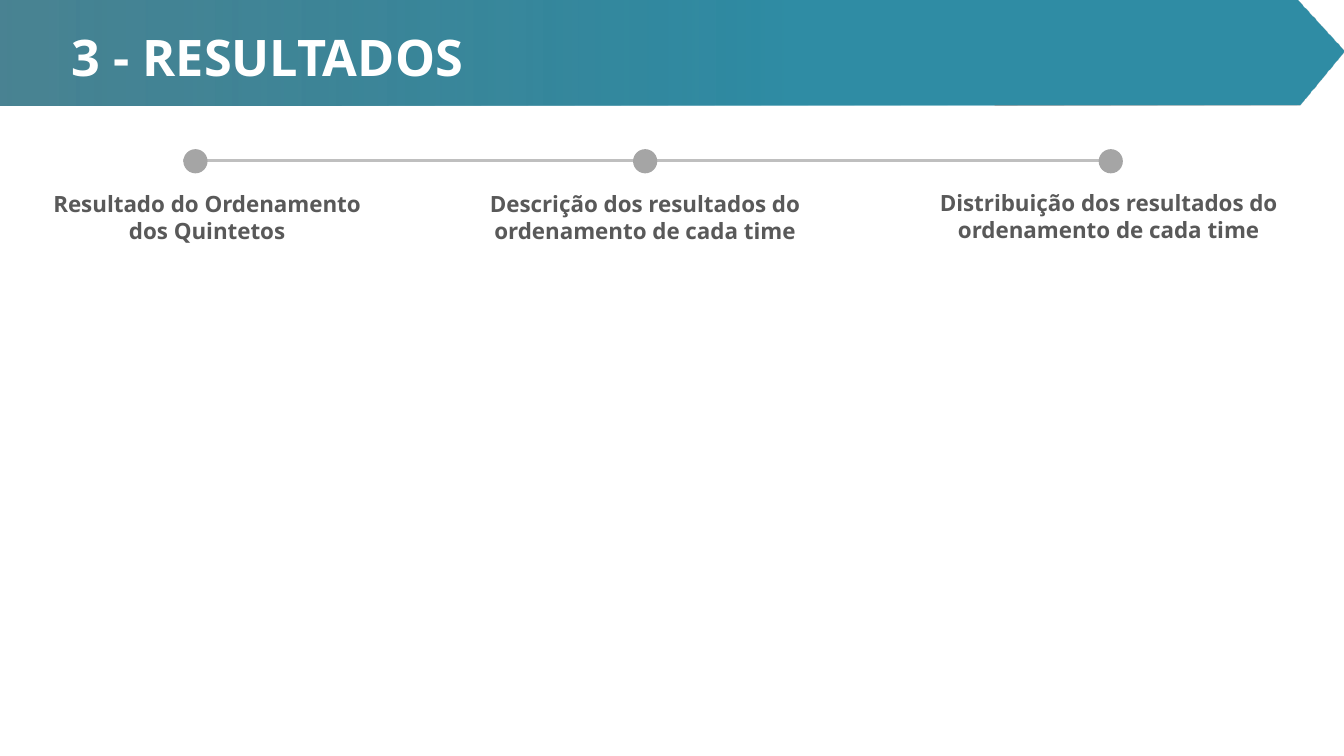
from lxml import etree
from pptx import Presentation
from pptx.dml.color import RGBColor
from pptx.enum.shapes import MSO_CONNECTOR, MSO_SHAPE
from pptx.enum.text import MSO_ANCHOR, MSO_AUTO_SIZE, PP_ALIGN
from pptx.oxml.ns import qn
from pptx.util import Pt

LEFT, CENTER = PP_ALIGN.LEFT, PP_ALIGN.CENTER
TOP = MSO_ANCHOR.TOP
FIXED, GROW = MSO_AUTO_SIZE.NONE, MSO_AUTO_SIZE.SHAPE_TO_FIT_TEXT
OVAL, LINE = MSO_SHAPE.OVAL, MSO_CONNECTOR.STRAIGHT

WHITE = RGBColor(0xFF, 0xFF, 0xFF)
TEAL = RGBColor(0x2F, 0x8C, 0xA4)
DEEP = RGBColor(0x23, 0x69, 0x7B)
RAIL = RGBColor(0xBF, 0xBF, 0xBF)
DOT = RGBColor(0xA5, 0xA5, 0xA5)
INK = RGBColor(0x59, 0x59, 0x59)

BAND = [(0, 0), (926, 0), (960, 36.7), (928, 74.9), (0, 75.6)]
SIZE, MID = 17.3, 115.2
STEPS = [
    (131, 21.6, 132.3, 252.7, "Resultado do Ordenamento dos Quintetos"),
    (452.2, 329, 132, 263.5, "Descrição dos resultados do ordenamento de cada time"),
    (784.8, 660.2, 131.5, 263.5, "Distribuição dos resultados do ordenamento de cada time"),
]


def write(frame, text, size=16, color=INK, align=CENTER, fit=GROW, space=1):
    """Put formatted text in a frame."""
    frame.word_wrap = True
    frame.auto_size = fit
    frame.vertical_anchor = TOP
    para = frame.paragraphs[0]
    para.alignment = align
    para.line_spacing = space
    run = para.add_run()
    run.text = text
    font = run.font
    font.name, font.size, font.bold = "Open Sans", Pt(size), True
    font.color.rgb = color


class Deck:
    """Hold the current slide and draw its elements."""

    def __init__(self, slide):
        """Keep the slide and its shapes."""
        self.slide = slide
        self.shapes = slide.shapes

    def band(self, dots):
        """Draw the gradient arrow band behind the title."""
        spots = [(Pt(x), Pt(y)) for x, y in dots]
        pen = self.shapes.build_freeform(*spots[0])
        pen.add_line_segments(spots[1:])
        shape = pen.convert_to_shape()
        shape.shadow.inherit = False
        shape.line.fill.background()
        fill = shape.fill
        fill.gradient()
        fill.gradient_angle = 180
        for stop, place, color in zip(fill.gradient_stops, (0.41, 1), (TEAL, DEEP)):
            stop.position = place
            stop.color.rgb = color
        tint = list(shape.element.iter(qn("a:srgbClr")))[-1]
        etree.SubElement(tint, qn("a:alpha"), val="82000")
        self.shapes.title.element.addprevious(shape.element)

    def title(self, text, x, y, w, h):
        """Place and fill the title."""
        box = self.shapes.title
        box.left, box.top, box.width, box.height = Pt(x), Pt(y), Pt(w), Pt(h)
        write(box.text_frame, text, size=36, color=WHITE, align=LEFT, fit=FIXED, space=0.9)

    def rail(self, x, end, y):
        """Draw the timeline."""
        line = self.shapes.add_connector(LINE, Pt(x), Pt(y), Pt(end), Pt(y))
        line.line.color.rgb = RAIL
        line.line.width = Pt(2.25)
        etree.SubElement(line.element.spPr, qn("a:effectLst"))

    def dot(self, x, y):
        """Draw one timeline marker."""
        shape = self.shapes.add_shape(OVAL, Pt(x), Pt(y), Pt(SIZE), Pt(SIZE))
        shape.shadow.inherit = False
        shape.fill.solid()
        shape.fill.fore_color.rgb = DOT
        shape.line.fill.background()

    def label(self, text, x, y, w):
        """Add a label under a marker."""
        box = self.shapes.add_textbox(Pt(x), Pt(y), Pt(w), Pt(46))
        write(box.text_frame, text)


def main():
    """Build and save the slide."""
    show = Presentation()
    show.slide_width, show.slide_height = Pt(960), Pt(540)
    deck = Deck(show.slides.add_slide(show.slide_layouts[5]))
    deck.band(BAND)
    deck.title("3 - RESULTADOS", 43.9, 20.2, 864, 51.1)
    deck.rail(131, 792, MID - 0.7)
    for dot, x, y, w, text in STEPS:
        deck.dot(dot, MID - SIZE / 2)
        deck.label(text, x, y, w)
    show.save("out.pptx")


if __name__ == "__main__":
    main()
